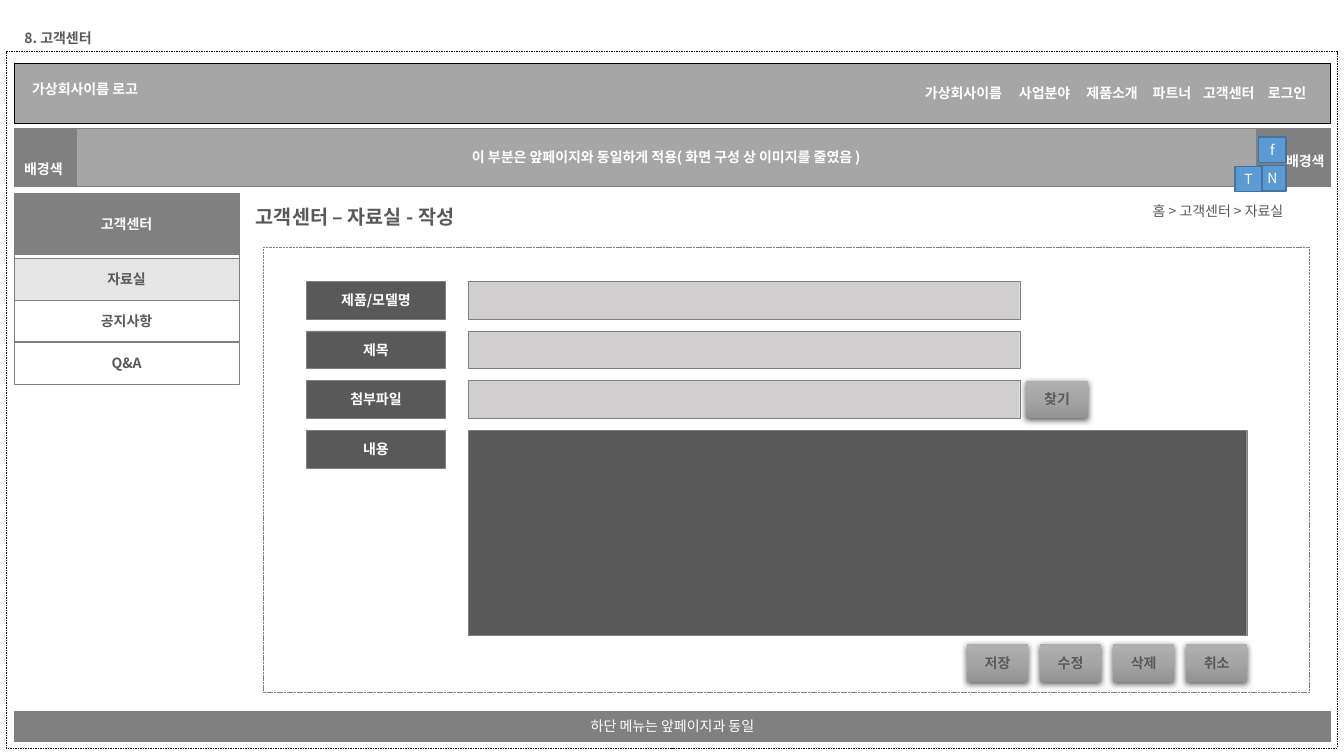
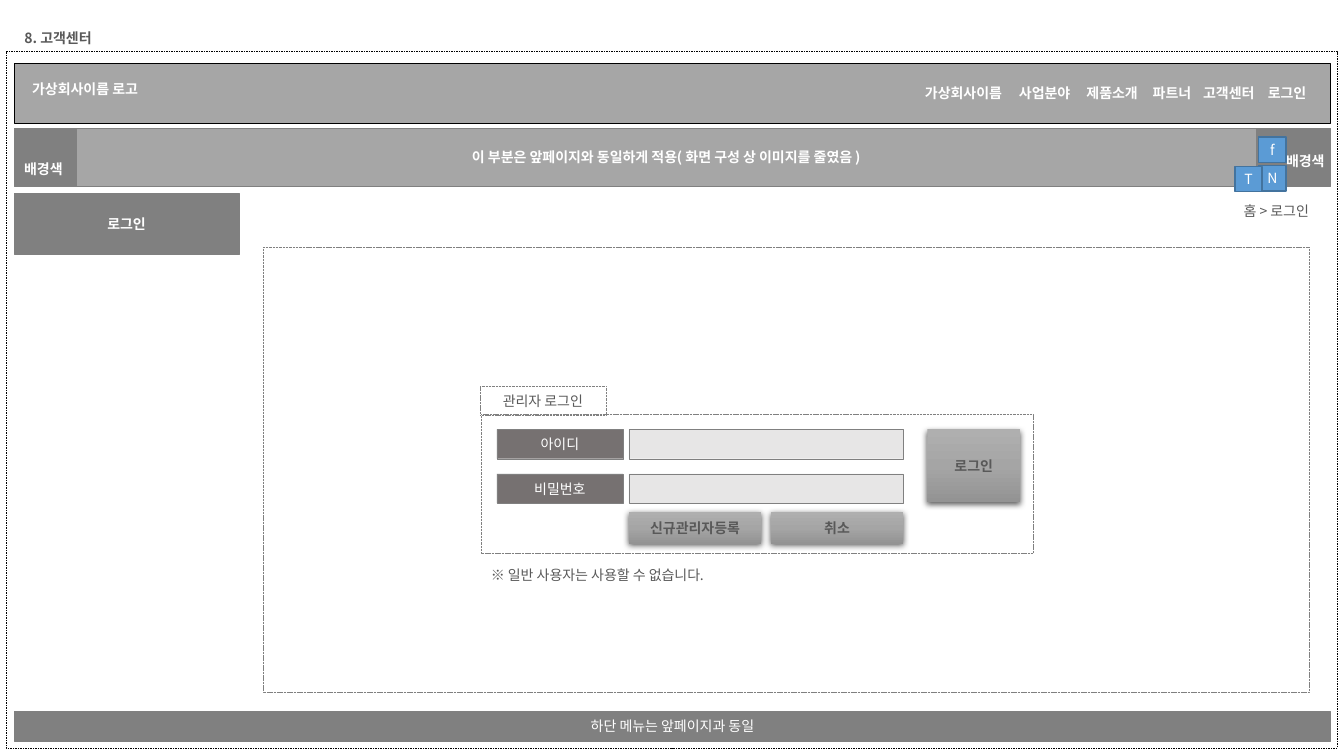
from copy import deepcopy

from lxml.etree import SubElement
from pptx import Presentation
from pptx.dml.color import RGBColor
from pptx.enum.dml import MSO_LINE
from pptx.enum.shapes import MSO_SHAPE, PP_PLACEHOLDER
from pptx.enum.text import MSO_ANCHOR, MSO_AUTO_SIZE, PP_ALIGN
from pptx.oxml.ns import qn
from pptx.util import Cm, Pt

FONT = "Noto Sans CJK KR"
WHITE = RGBColor(0xFF, 0xFF, 0xFF)
BLACK = RGBColor(0x00, 0x00, 0x00)
DARK = RGBColor(0x59, 0x59, 0x59)
TAUPE = RGBColor(0x76, 0x71, 0x71)
GRAY = RGBColor(0x80, 0x80, 0x80)
SILVER = RGBColor(0xA6, 0xA6, 0xA6)
FIELD = RGBColor(0xD0, 0xCE, 0xCE)
PALE = RGBColor(0xE7, 0xE6, 0xE6)
BLUE = RGBColor(0x5B, 0x9B, 0xD5)
BLUE_EDGE = RGBColor(0x43, 0x73, 0x9E)
BUTTON_STOPS = [
    (0, RGBColor(0xAF, 0xAF, 0xAF)),
    (0.5, RGBColor(0xA5, 0xA5, 0xA5)),
    (1, RGBColor(0x93, 0x93, 0x93)),
]

# Content; all lengths are centimetres
SECTION = "8. 고객센터"
LOGO_TEXT = "가상회사이름 로고"
NAVIGATION = [  # text, left, width
    ("가상회사이름", 23.06, 2.64),
    ("사업분야", 25.43, 1.93),
    ("제품소개", 27.13, 1.93),
    ("파트너", 28.8, 1.57),
    ("고객센터", 30.07, 1.93),
    ("로그인", 31.7, 1.57),
]
FOOTER = "하단 메뉴는 앞페이지과 동일"
BAND_TEXT = "이 부분은 앞페이지와 동일하게 적용( 화면 구성 상 이미지를 줄였음 )"
BAND_LABELS = [("배경색", 0.36, 3.91), ("배경색", 32.16, 3.73)]
BADGES = [("f", 31.72, 3.45), ("N", 31.72, 4.17), ("T", 31.12, 4.19)]
SIDE_MENU = [("자료실", PALE), ("공지사항", None), ("Q&A", None)]
FORM_LABELS = ["제품/모델명", "제목", "첨부파일", "내용"]
FORM_BUTTONS = ["저장", "수정", "삭제", "취소"]
LOGIN_LABELS = ["아이디", "비밀번호"]
LOGIN_BUTTONS = ["신규관리자등록", "취소"]

# Shared geometry
EDGE, FULL_WIDTH = 0.36, 33.17
SIDE_WIDTH, SIDE_TOP = 5.66, 4.88
TEXT_HEIGHT = 0.69


def style_text(text_frame, text, color, bold, size=10):
    text_frame.text = text
    for run in text_frame.paragraphs[0].runs:
        font = run.font
        font.name, font.size, font.bold = FONT, Pt(size), bold
        font.color.rgb = color
        SubElement(font._element, qn("a:ea"), typeface=FONT)


def add_box(slide, left, top, width, height, fill=None, text="", color=WHITE,
            bold=True, edge=GRAY, edge_width=0.25, dash=None):
    shape = slide.shapes.add_shape(
        MSO_SHAPE.RECTANGLE, Cm(left), Cm(top), Cm(width), Cm(height))
    shape.shadow.inherit = False
    if fill is None:
        shape.fill.background()
    else:
        shape.fill.solid()
        shape.fill.fore_color.rgb = fill
    shape.line.color.rgb = edge
    shape.line.width = Pt(edge_width)
    if dash is not None:
        shape.line.dash_style = dash
    if text:
        frame = shape.text_frame
        frame.margin_left = frame.margin_right = Cm(0.1)
        frame.margin_top = frame.margin_bottom = Cm(0.05)
        frame.vertical_anchor = MSO_ANCHOR.MIDDLE
        style_text(frame, text, color, bold)
        frame.paragraphs[0].alignment = PP_ALIGN.CENTER
    return shape


def add_button(slide, left, top, width, height, text):
    """Add a button with a vertical gradient and a soft drop shadow."""
    shape = add_box(slide, left, top, width, height, SILVER, text, DARK)
    shape.line.fill.background()
    shape.fill.gradient()
    shape.fill.gradient_angle = 270
    stop_list = shape.element.spPr.find(qn("a:gradFill")).find(qn("a:gsLst"))
    stop_list.insert(1, deepcopy(stop_list[0]))
    for stop, (position, color) in zip(shape.fill.gradient_stops, BUTTON_STOPS):
        stop.position = position
        stop.color.rgb = color
    effects = shape.element.spPr.find(qn("a:effectLst"))
    shadow = SubElement(
        effects, qn("a:outerShdw"), blurRad=str(Pt(4.5)), dist=str(Pt(1.5)),
        dir="5400000", algn="ctr", rotWithShape="0")
    shadow_color = SubElement(shadow, qn("a:srgbClr"), val=str(BLACK))
    SubElement(shadow_color, qn("a:alpha"), val="63000")


def add_label(slide, left, top, width, text, color=DARK, bold=False,
              size=10, height=TEXT_HEIGHT):
    box = slide.shapes.add_textbox(Cm(left), Cm(top), Cm(width), Cm(height))
    box.text_frame.word_wrap = False
    box.text_frame.auto_size = MSO_AUTO_SIZE.SHAPE_TO_FIT_TEXT
    style_text(box.text_frame, text, color, bold, size)


def prepare_layout(layout):
    for placeholder in list(layout.placeholders):
        if placeholder.placeholder_format.type == PP_PLACEHOLDER.TITLE:
            placeholder.left, placeholder.top = Cm(EDGE), Cm(0.61)
            placeholder.width, placeholder.height = Cm(2.36), Cm(TEXT_HEIGHT)
        else:
            placeholder.element.getparent().remove(placeholder.element)


def draw_site_frame(slide):
    add_box(slide, EDGE, 1.6, FULL_WIDTH, 1.5, SILVER, edge=BLACK)
    add_label(slide, 0.56, 1.9, 3.61, LOGO_TEXT, WHITE, True)
    for text, left, width in NAVIGATION:
        add_label(slide, left, 2.01, width, text, WHITE, True)
    add_box(slide, 0.15, 1.3, 33.55, 17.55, edge=BLACK, dash=MSO_LINE.DASH)
    add_box(slide, EDGE, 17.93, FULL_WIDTH, 0.74, GRAY, FOOTER, bold=False)


def move_to_layout(slide, layout):
    """Make the shapes drawn so far part of every slide on the layout."""
    for shape in list(slide.shapes):
        if not shape.is_placeholder:
            layout.shapes.element.append(shape.element)


def draw_page(slide, side_title, breadcrumb, breadcrumb_left, breadcrumb_width):
    title = slide.shapes.title.text_frame
    title.word_wrap = False
    title.auto_size = MSO_AUTO_SIZE.NONE
    title.vertical_anchor = MSO_ANCHOR.TOP
    style_text(title, SECTION, DARK, True)
    title.paragraphs[0].alignment = PP_ALIGN.LEFT

    add_box(slide, EDGE, 3.23, FULL_WIDTH, 1.47, GRAY)
    add_box(slide, 1.93, 3.23, 29.72, 1.47, SILVER, BAND_TEXT)
    for text, left, top in BAND_LABELS:
        add_label(slide, left, top, 1.57, text, WHITE, True)
    for text, left, top in BADGES:
        add_box(slide, left, top, 0.69, 0.64, BLUE, text, bold=False,
                edge=BLUE_EDGE, edge_width=1)
    add_box(slide, EDGE, SIDE_TOP, SIDE_WIDTH, 1.52, GRAY, side_title)
    add_label(slide, breadcrumb_left, 4.98, breadcrumb_width, breadcrumb)
    add_box(slide, 6.63, 6.22, 26.37, 11.23, dash=MSO_LINE.SQUARE_DOT)


def draw_write_form(slide):
    add_box(slide, EDGE, SIDE_TOP, SIDE_WIDTH, 3.73)
    item_height = 1.06
    for index, (text, fill) in enumerate(SIDE_MENU):
        add_box(slide, EDGE, 6.5 + index * item_height, SIDE_WIDTH,
                item_height, fill, text, DARK)
    add_label(slide, 6.2, 5.05, 6.15, "고객센터 – 자료실 - 작성", bold=True,
              size=14, height=0.86)

    field_left, row_height = 11.81, 0.95
    row_tops = [7.09 + 1.25 * index for index in range(len(FORM_LABELS))]
    for text, top in zip(FORM_LABELS, row_tops):
        add_box(slide, 7.72, top, 3.51, row_height, DARK, text)
    for top in row_tops[:-1]:
        add_box(slide, field_left, top, 13.89, row_height, FIELD)
    add_box(slide, field_left, row_tops[-1], 19.61, 5.18, DARK)
    add_button(slide, 25.86, row_tops[2], 1.56, row_height, "찾기")
    for index, text in enumerate(FORM_BUTTONS):
        add_button(slide, 24.36 + 1.84 * index, 16.23, 1.56, row_height, text)


def draw_login_form(slide):
    add_box(slide, 12.09, 9.73, 3.18, 0.74, WHITE, "관리자 로그인", DARK,
            False, dash=MSO_LINE.SQUARE_DOT)
    add_box(slide, 12.12, 10.44, 13.92, 3.51, dash=MSO_LINE.SQUARE_DOT)
    field_left, form_top = 15.85, 10.82
    for index, text in enumerate(LOGIN_LABELS):
        top = form_top + 1.12 * index
        add_box(slide, 12.52, top, 3.18, 0.74, TAUPE, text, bold=False)
        add_box(slide, field_left, top, 6.91, 0.74, PALE)
    add_button(slide, 23.37, form_top, 2.34, 1.84, "로그인")
    for index, text in enumerate(LOGIN_BUTTONS):
        add_button(slide, field_left + 3.58 * index, 12.9, 3.33, 0.8, text)
    add_label(slide, 12.12, 14.15, 6.43, "※ 일반 사용자는 사용할 수 없습니다.")


def main():
    presentation = Presentation()
    presentation.slide_width, presentation.slide_height = Cm(33.87), Cm(19.05)
    layout = presentation.slide_layouts[5]
    prepare_layout(layout)

    write_slide = presentation.slides.add_slide(layout)
    draw_site_frame(write_slide)
    move_to_layout(write_slide, layout)
    draw_page(write_slide, "고객센터", "홈 > 고객센터 > 자료실", 28.8, 4.37)
    draw_write_form(write_slide)

    login_slide = presentation.slides.add_slide(layout)
    draw_page(login_slide, "로그인", "홈 > 로그인", 31.09, 2.44)
    draw_login_form(login_slide)
    presentation.save("out.pptx")


if __name__ == "__main__":
    main()
